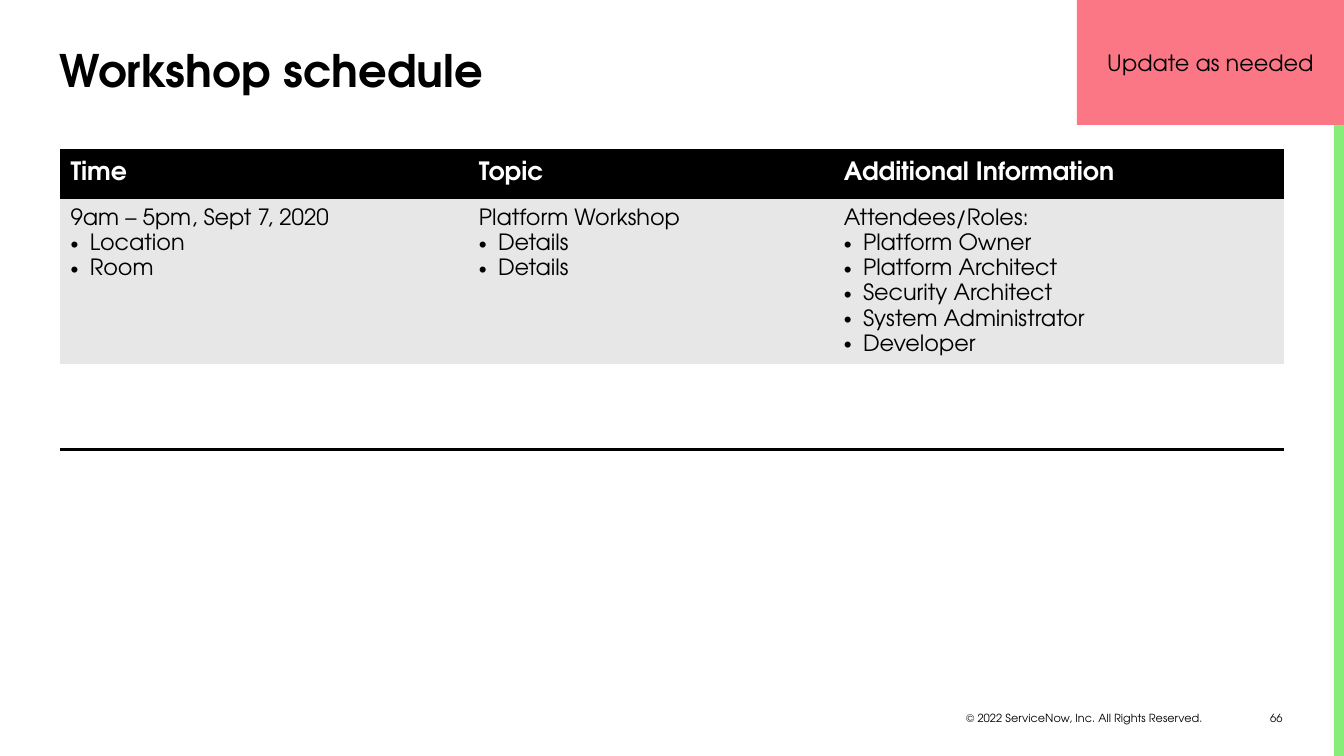
from dataclasses import dataclass
from typing import Optional

from lxml import etree
from pptx import Presentation
from pptx import util as u
from pptx.dml.color import RGBColor
from pptx.enum import shapes, text
from pptx.oxml import ns

FONT = "TeX Gyre Adventor"
BLACK = RGBColor(0x00, 0x00, 0x00)
WHITE = RGBColor(0xFF, 0xFF, 0xFF)
GREY = RGBColor(0xE7, 0xE7, 0xE7)
GREEN = RGBColor(0x86, 0xED, 0x78)
PINK = RGBColor(0xFC, 0x77, 0x86)
NO_GRID = "{2D5ABB26-0587-4C30-8999-92F81FD0307C}"
ALIGN = text.PP_ALIGN
MIDDLE = text.MSO_ANCHOR.MIDDLE
TOP = text.MSO_ANCHOR.TOP


@dataclass
class Box:
    left: float
    top: float
    width: float
    height: float

    def place(self) -> tuple:
        return tuple(map(u.Inches, (self.left, self.top, self.width, self.height)))


@dataclass
class Label:
    box: Box
    words: str
    anchor: text.MSO_ANCHOR


@dataclass
class Panel:
    box: Box
    fill: RGBColor
    words: str = ""


@dataclass
class Column:
    width: float
    head: str
    lead: str
    items: list


LABELS = [
    Label(Box(8.65, 7.01, 3.38, 0.23),
          "© 2022 ServiceNow, Inc. All Rights Reserved.", MIDDLE),
    Label(Box(12.09, 7.01, 0.73, 0.25), "66", TOP),
]
PANELS = [
    Panel(Box(13.23, 0, 0.1, 7.5), GREEN),
    Panel(Box(10.68, 0, 2.65, 1.24), PINK, "Update as needed"),
]
COLUMNS = [
    Column(4.05, "Time", "9am – 5pm, Sept 7, 2020", ["Location", "Room"]),
    Column(3.62, "Topic", "Platform Workshop", ["Details", "Details"]),
    Column(4.47, "Additional Information", "Attendees/Roles:",
           ["Platform Owner", "Platform Architect", "Security Architect",
            "System Administrator", "Developer"]),
]
ROWS = [0.48, 1.64, 0.85]


def write(para, words: str, *, size: float, color: RGBColor = BLACK,
          bold: bool = False, align: ALIGN = ALIGN.LEFT,
          space: Optional[float] = None, bullet: bool = False) -> None:
    para.alignment = align
    if space:
        para.line_spacing = space
    if bullet:
        props = para._p.get_or_add_pPr()
        props.set("marL", str(u.Inches(0.19)))
        props.set("indent", str(-u.Inches(0.19)))
        etree.SubElement(props, ns.qn("a:buFont")).set("typeface", "Arial")
        etree.SubElement(props, ns.qn("a:buChar")).set("char", "•")
    run = para.add_run()
    run.text = words
    run.font.name = FONT
    run.font.size = u.Pt(size)
    run.font.bold = bold
    run.font.color.rgb = color


def add_label(slide, label: Label) -> None:
    frame = slide.shapes.add_textbox(*label.box.place()).text_frame
    frame.word_wrap = True
    frame.vertical_anchor = label.anchor
    write(frame.paragraphs[0], label.words, size=8, align=ALIGN.RIGHT)


def add_panel(slide, panel: Panel) -> None:
    shape = slide.shapes.add_shape(
        shapes.MSO_SHAPE.RECTANGLE, *panel.box.place())
    shape.shadow.inherit = False
    shape.fill.solid()
    shape.fill.fore_color.rgb = panel.fill
    shape.line.fill.background()
    if panel.words:
        shape.text_frame.vertical_anchor = MIDDLE
        write(shape.text_frame.paragraphs[0], panel.words, size=16,
              align=ALIGN.CENTER)


def add_title(slide, box: Box, words: str) -> None:
    title = slide.shapes.title
    title.left, title.top, title.width, title.height = box.place()
    title.text_frame.vertical_anchor = MIDDLE
    write(title.text_frame.paragraphs[0], words, size=32, bold=True)


def paint(cell, color: RGBColor) -> None:
    cell.fill.solid()
    cell.fill.fore_color.rgb = color


def rule(cell, side: str) -> None:
    line = etree.Element(ns.qn("a:" + side), w=str(u.Pt(2)))
    fill = etree.SubElement(line, ns.qn("a:solidFill"))
    etree.SubElement(fill, ns.qn("a:srgbClr")).set("val", str(BLACK))
    cell._tc.get_or_add_tcPr().insert(0, line)


def fill_body(cell, column: Column) -> None:
    cell.margin_top = u.Inches(0.1)
    cell.margin_bottom = u.Inches(0.05)
    frame = cell.text_frame
    for place, words in enumerate([column.lead, *column.items]):
        para = frame.add_paragraph() if place else frame.paragraphs[0]
        para.space_before = u.Pt(1 if place else 0)
        para.space_after = u.Pt(2)
        write(para, words, size=16, space=u.Pt(15), bullet=place > 0)


def add_table(slide) -> None:
    box = Box(0.6, 1.49, sum(c.width for c in COLUMNS), sum(ROWS))
    frame = slide.shapes.add_table(len(ROWS), len(COLUMNS), *box.place())
    table = frame.table
    table.horz_banding = False
    table.first_row = False
    table._tbl.tblPr.find(ns.qn("a:tableStyleId")).text = NO_GRID
    for row, height in zip(table.rows, ROWS):
        row.height = u.Inches(height)
    for place, column in enumerate(COLUMNS):
        table.columns[place].width = u.Inches(column.width)
        head, body, last = (table.cell(row, place) for row in range(len(ROWS)))
        for cell, color in ((head, BLACK), (body, GREY), (last, WHITE)):
            paint(cell, color)
        head.vertical_anchor = MIDDLE
        write(head.text_frame.paragraphs[0], column.head, size=18,
              color=WHITE, bold=True, space=0.9)
        fill_body(body, column)
        rule(head, "lnT")
        rule(last, "lnB")


def main() -> None:
    deck = Presentation()
    deck.slide_width = u.Inches(13.33)
    deck.slide_height = u.Inches(7.5)
    slide = deck.slides.add_slide(deck.slide_layouts[5])
    add_title(slide, Box(0.49, 0.34, 12.24, 0.7), "Workshop schedule")
    for label in LABELS:
        add_label(slide, label)
    for panel in PANELS:
        add_panel(slide, panel)
    add_table(slide)
    deck.save("out.pptx")


if __name__ == "__main__":
    main()
